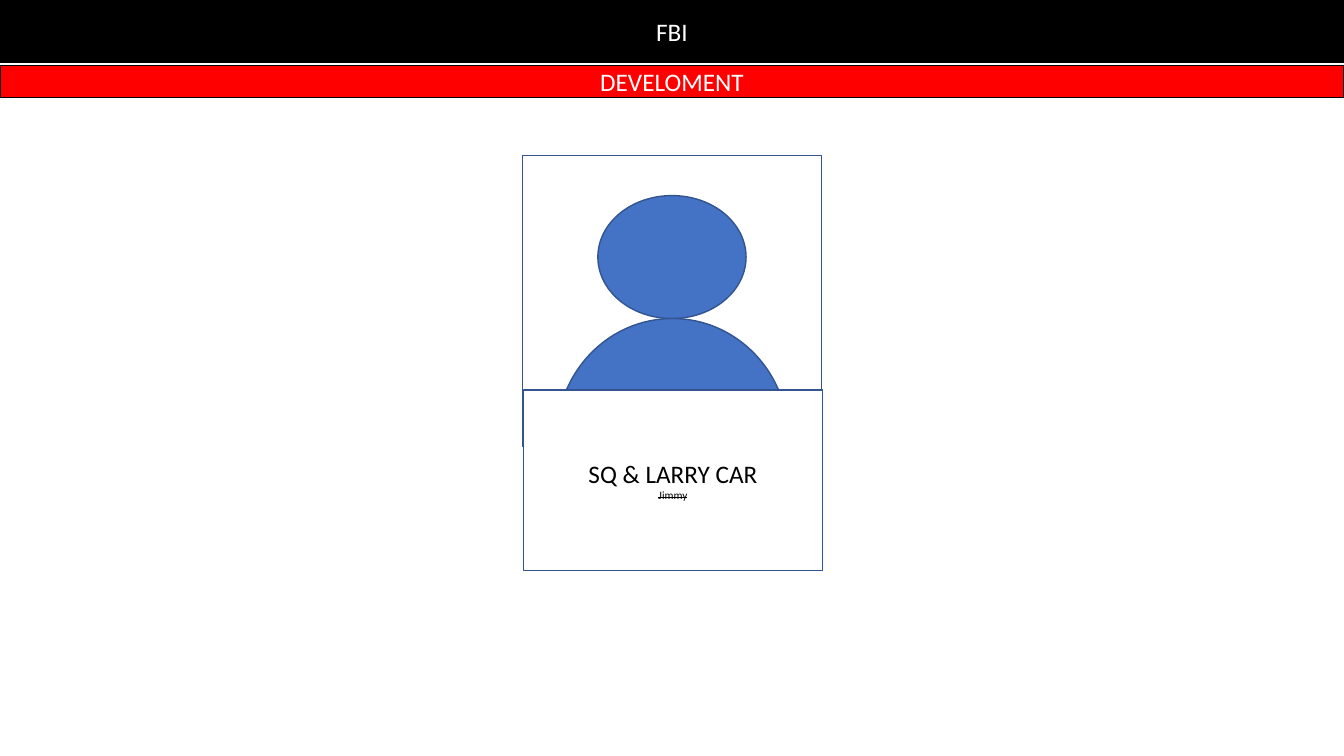
from pptx import Presentation
from pptx.dml.color import RGBColor
from pptx.enum.shapes import MSO_SHAPE as SHAPE
from pptx.enum.text import MSO_ANCHOR, PP_ALIGN
from pptx.util import Inches, Pt

COLORS = {
    "white": "FFFFFF",
    "black": "000000",
    "red": "FF0000",
    "blue": "4472C4",
    "outline": "325491",
}
SLIDE_WIDTH = 13.33

prs = Presentation()
prs.slide_width, prs.slide_height = Inches(SLIDE_WIDTH), Inches(7.5)
slide = prs.slides.add_slide(prs.slide_layouts[6])


def add_part(kind, box, fill, line):
    part = slide.shapes.add_shape(kind, *map(Inches, box))
    part.shadow.inherit = False
    part.fill.solid()
    part.fill.fore_color.rgb = RGBColor.from_string(COLORS[fill])
    part.line.color.rgb = RGBColor.from_string(COLORS[line])
    part.line.width = Pt(1)
    return part


def write_lines(part, lines, color):
    """Fill a shape with centred (text, size) lines, one paragraph each."""
    frame = part.text_frame
    frame.word_wrap = True
    frame.vertical_anchor = MSO_ANCHOR.MIDDLE
    frame.text = "\n".join(text for text, size in lines)
    for paragraph, (text, size) in zip(frame.paragraphs, lines):
        paragraph.alignment = PP_ALIGN.CENTER
        font = paragraph.runs[0].font
        font.name, font.size = "Calibri", Pt(size)
        font.color.rgb = RGBColor.from_string(COLORS[color])


# Portrait frame
add_part(SHAPE.RECTANGLE, (5.18, 1.54, 2.97, 2.89), "white", "outline")

# Header bands
for title, top, height, fill in (
    ("FBI", 0, 0.62, "black"),
    ("DEVELOMENT", 0.65, 0.32, "red"),
):
    band = add_part(SHAPE.RECTANGLE, (0, top, SLIDE_WIDTH, height), fill, "black")
    write_lines(band, [(title, 18)], "white")

# Head and shoulders; the name card hides the lower part of the shoulders
for box in ((5.93, 1.94, 1.47, 1.22), (5.52, 3.16, 2.3, 2.38)):
    add_part(SHAPE.OVAL, box, "blue", "outline")

# Name card
name_card = add_part(SHAPE.RECTANGLE, (5.19, 3.87, 2.97, 1.79), "white", "outline")
write_lines(name_card, [("SQ & LARRY CAR", 18), ("Jimmy", 8)], "black")
struck_name = name_card.text_frame.paragraphs[1].runs[0]
struck_name._r.get_or_add_rPr().set("strike", "sngStrike")

prs.save("out.pptx")
